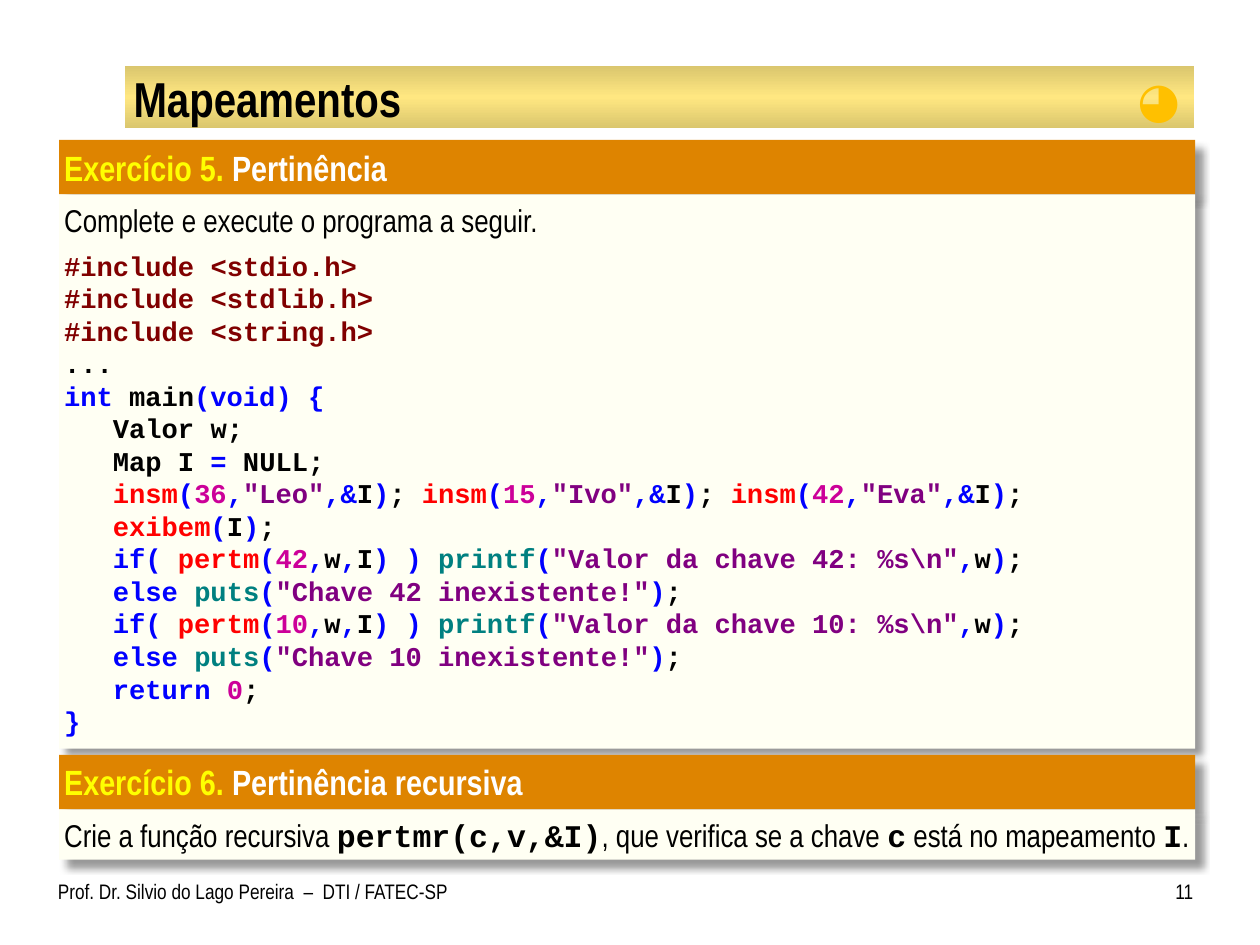
from dataclasses import dataclass

from lxml import etree
from pptx import Presentation
from pptx.dml.color import RGBColor
from pptx.enum.shapes import MSO_SHAPE
from pptx.enum.text import MSO_ANCHOR, MSO_AUTO_SIZE, PP_ALIGN
from pptx.oxml.ns import qn
from pptx.util import Pt

RECTANGLE = MSO_SHAPE.RECTANGLE
TOP, MIDDLE = MSO_ANCHOR.TOP, MSO_ANCHOR.MIDDLE
LEFT, RIGHT, JUSTIFY = PP_ALIGN.LEFT, PP_ALIGN.RIGHT, PP_ALIGN.JUSTIFY
NO_AUTOFIT = MSO_AUTO_SIZE.NONE


@dataclass(frozen=True)
class Theme:
    prose_font: str = "Arial Narrow"
    code_font: str = "Courier New"
    title_size: float = 28
    header_size: float = 20
    prose_size: float = 18
    code_size: float = 15.5
    code_pitch: float = 18.6
    footer_size: float = 12
    text: str = "000000"
    accent: str = "FFC000"
    bar_edge: str = "DAC66E"
    bar_middle: str = "FFE781"
    header_fill: str = "DE8400"
    header_label: str = "FFFF00"
    header_text: str = "FFFFFF"
    body_fill: str = "FFFFF3"
    directive: str = "800000"
    syntax: str = "0000FF"
    function: str = "FF0000"
    library: str = "008080"
    number: str = "CC0099"
    string: str = "800080"


THEME = Theme()


def insertion(key, name):
    return [("insm", THEME.function), ("(", THEME.syntax), (key, THEME.number),
            (",", THEME.syntax), (f'"{name}"', THEME.string), (",&", THEME.syntax),
            ("I", THEME.text), (")", THEME.syntax)]


def lookup(key):
    """The two lines that search for a key and report the outcome."""
    found = [("if( ", THEME.syntax), ("pertm", THEME.function), ("(", THEME.syntax),
             (key, THEME.number), (",", THEME.syntax), ("w", THEME.text),
             (",", THEME.syntax), ("I", THEME.text), (") ) ", THEME.syntax),
             ("printf", THEME.library), ("(", THEME.syntax),
             (f'"Valor da chave {key}: %s\\n"', THEME.string), (",", THEME.syntax),
             ("w", THEME.text), (")", THEME.syntax), (";", THEME.text)]
    missing = [("else ", THEME.syntax), ("puts", THEME.library), ("(", THEME.syntax),
               (f'"Chave {key} inexistente!"', THEME.string),
               (")", THEME.syntax), (";", THEME.text)]
    return [(1, found), (1, missing)]


TITLE, PROGRESS = "Mapeamentos", "◕"
FOOTER, PAGE = "Prof. Dr. Silvio do Lago Pereira  –  DTI / FATEC-SP", "11"
MEMBERSHIP = ("Exercício 5.", " Pertinência")
RECURSIVE = ("Exercício 6.", " Pertinência recursiva")
MEMBERSHIP_TASK = [("Complete e execute o programa a seguir.", False)]
RECURSIVE_TASK = [  # (text, is code)
    ("Crie a função recursiva ", False), ("pertmr(c,v,&I)", True),
    (", que verifica se a chave ", False), ("c", True),
    (" está no mapeamento ", False), ("I", True), (".", False),
]
SEPARATOR = [("; ", THEME.text)]
PROGRAM = [  # (indent level, coloured tokens)
    *[(0, [(f"#include <{header}.h>", THEME.directive)])
      for header in ("stdio", "stdlib", "string")],
    (0, [("...", THEME.text)]),
    (0, [("int", THEME.syntax), (" main", THEME.text), ("(void) {", THEME.syntax)]),
    (1, [("Valor w;", THEME.text)]),
    (1, [("Map I ", THEME.text), ("=", THEME.syntax), (" NULL;", THEME.text)]),
    (1, insertion("36", "Leo") + SEPARATOR + insertion("15", "Ivo") + SEPARATOR
     + insertion("42", "Eva") + [(";", THEME.text)]),
    (1, [("exibem", THEME.function), ("(", THEME.syntax), ("I", THEME.text),
         (")", THEME.syntax), (";", THEME.text)]),
    *lookup("42"),
    *lookup("10"),
    (1, [("return ", THEME.syntax), ("0", THEME.number), (";", THEME.text)]),
    (0, [("}", THEME.syntax)]),
]

PANEL_LEFT, PANEL_WIDTH, HEADER_HEIGHT = 33.8, 649.2, 31.2
INDENT = 3 * 0.6 * THEME.code_size  # three monospaced characters


def color(value):
    return RGBColor.from_string(value)


def set_font(font, name, size, bold=False):
    font.name, font.size, font.bold = name, Pt(size), bold


def add_run(paragraph, text, value):
    run = paragraph.add_run()
    run.text = text
    run.font.color.rgb = color(value)
    return run


def set_frame(shape, margins, anchor=TOP):
    frame = shape.text_frame
    frame.word_wrap = True
    frame.auto_size = NO_AUTOFIT
    frame.vertical_anchor = anchor
    (frame.margin_left, frame.margin_top,
     frame.margin_right, frame.margin_bottom) = map(Pt, margins)
    return frame


def add_shadow(shape):
    effects = etree.SubElement(shape._element.spPr, qn("a:effectLst"))
    shadow = etree.SubElement(effects, qn("a:outerShdw"), blurRad=str(Pt(4)),
                              dist=str(Pt(6)), dir=str(45 * 60000),
                              algn="tl", rotWithShape="0")
    black = etree.SubElement(shadow, qn("a:srgbClr"), val="000000")
    etree.SubElement(black, qn("a:alpha"), val="40000")


def add_panel(slide, top, height, fill, right_margin):
    shape = slide.shapes.add_shape(RECTANGLE, Pt(PANEL_LEFT), Pt(top),
                                   Pt(PANEL_WIDTH), Pt(height))
    shape.fill.solid()
    shape.fill.fore_color.rgb = color(fill)
    shape.line.fill.background()
    add_shadow(shape)
    return set_frame(shape, (2.88, 3.6, right_margin, 3.6))


def add_exercise(slide, top, body_height, heading, task, program=()):
    header = add_panel(slide, top, HEADER_HEIGHT, THEME.header_fill, 7.2).paragraphs[0]
    header.alignment = LEFT
    set_font(header.font, THEME.prose_font, THEME.header_size, True)
    for text, value in zip(heading, (THEME.header_label, THEME.header_text)):
        add_run(header, text, value)

    body = add_panel(slide, top + HEADER_HEIGHT, body_height, THEME.body_fill, 2.88)
    statement = body.paragraphs[0]
    statement.alignment = JUSTIFY
    statement.space_before = Pt(6)
    for text, is_code in task:
        run = add_run(statement, text, THEME.text)
        set_font(run.font, THEME.code_font if is_code else THEME.prose_font,
                 THEME.prose_size, is_code)

    for number, (level, tokens) in enumerate(program):
        line = body.add_paragraph()
        line.alignment = LEFT
        line.space_before = Pt(0 if number else 6)
        line.line_spacing = Pt(THEME.code_pitch)
        line._p.get_or_add_pPr().set("marL", str(Pt(level * INDENT)))
        set_font(line.font, THEME.code_font, THEME.code_size, True)
        for text, value in tokens:
            add_run(line, text, value)


def add_title(slide):
    bar = slide.shapes.add_shape(RECTANGLE, Pt(71.4), Pt(37.6), Pt(611.2), Pt(35.7))
    bar.shadow.inherit = False
    bar.line.fill.background()
    bar.fill.gradient()
    bar.fill.gradient_angle = 90
    stops = bar.fill._fill._gradFill.find(qn("a:gsLst"))
    for stop in list(stops):
        stops.remove(stop)
    for position, value in ((0, THEME.bar_edge), (50, THEME.bar_middle),
                            (100, THEME.bar_edge)):
        stop = etree.SubElement(stops, qn("a:gs"), pos=str(position * 1000))
        etree.SubElement(stop, qn("a:srgbClr"), val=value)
    slide.shapes._spTree.insert(2, bar._element)  # behind the title

    title = slide.shapes.title
    title.left, title.top, title.width, title.height = map(Pt, (72, 38.9, 609.8, 33.8))
    paragraph = set_frame(title, (4.3, 0.7, 4.3, 0.7), MIDDLE).paragraphs[0]
    paragraph.alignment = LEFT
    set_font(paragraph.font, THEME.prose_font, THEME.title_size, True)
    tabs = etree.SubElement(paragraph._p.get_or_add_pPr(), qn("a:tabLst"))
    etree.SubElement(tabs, qn("a:tab"), pos=str(Pt(598)), algn="r")
    paragraph._p.pPr.insert(0, tabs)  # the schema puts tabs before the font
    add_run(paragraph, TITLE + "\t", THEME.text)
    add_run(paragraph, PROGRESS, THEME.accent)


def add_footer(slide, left, width, text, alignment, margins):
    box = slide.shapes.add_textbox(Pt(left), Pt(498.2), Pt(width), Pt(30.2))
    paragraph = set_frame(box, margins).paragraphs[0]
    paragraph.alignment = alignment
    set_font(paragraph.font, THEME.prose_font, THEME.footer_size)
    add_run(paragraph, text, THEME.text)


def main():
    presentation = Presentation()
    presentation.slide_width, presentation.slide_height = Pt(720), Pt(540)
    slide = presentation.slides.add_slide(presentation.slide_layouts[5])
    add_title(slide)
    add_exercise(slide, 79.9, 316.8, MEMBERSHIP, MEMBERSHIP_TASK, PROGRAM)
    add_footer(slide, 33.1, 235.4, FOOTER, LEFT, (0, 3.6, 7.2, 3.6))
    add_footer(slide, 653.8, 28.1, PAGE, RIGHT, (7.2, 3.6, 0, 3.6))
    add_exercise(slide, 431.3, 28.8, RECURSIVE, RECURSIVE_TASK)
    presentation.save("out.pptx")


if __name__ == "__main__":
    main()
